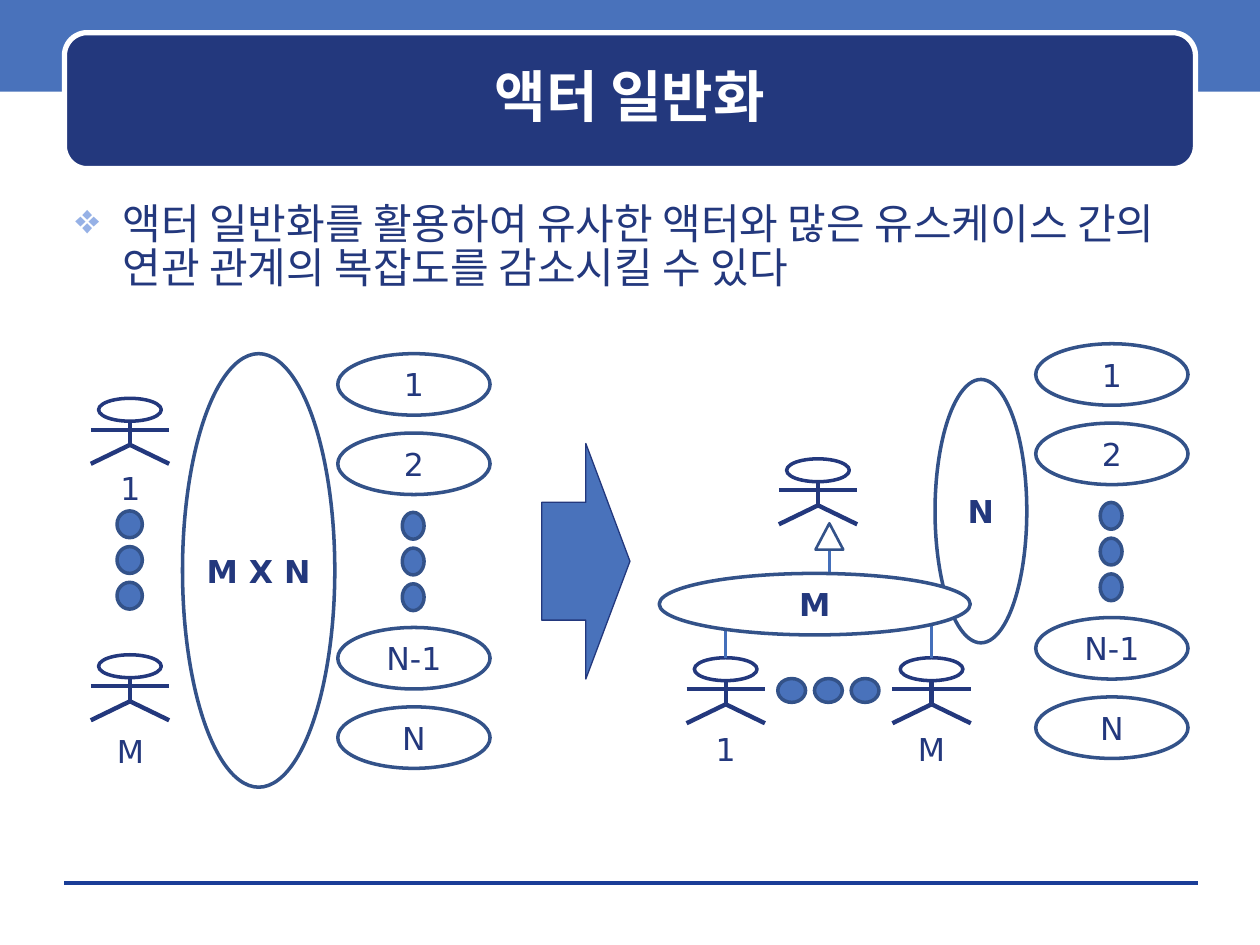
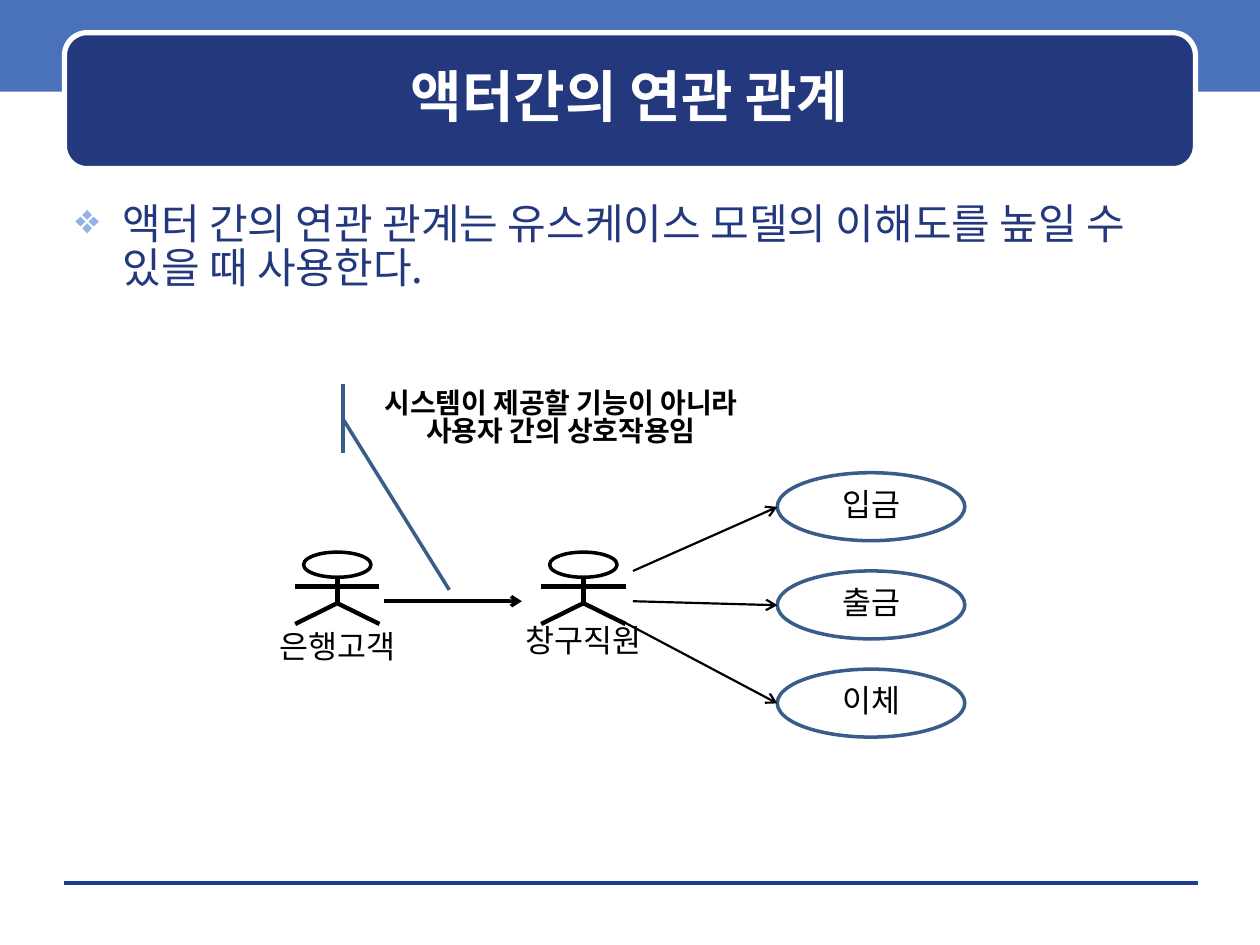
from lxml import etree
from pptx import Presentation
from pptx.dml.color import RGBColor
from pptx.enum.shapes import MSO_CONNECTOR, MSO_SHAPE
from pptx.enum.text import MSO_ANCHOR, PP_ALIGN
from pptx.oxml.ns import qn
from pptx.util import Cm, Pt

NAVY = RGBColor(0x23, 0x38, 0x7D)
BLUE = RGBColor(0x49, 0x72, 0xBB)
OUTLINE = RGBColor(0x33, 0x52, 0x89)
LINK = RGBColor(0x44, 0x6F, 0xBA)
CASE_LINE = RGBColor(0x38, 0x5D, 0x8A)
RULE = RGBColor(0x1A, 0x3D, 0x97)
BULLET = RGBColor(0x96, 0xB1, 0xE6)
WHITE = RGBColor(0xFF, 0xFF, 0xFF)
BLACK = RGBColor(0, 0, 0)

LATIN = "DejaVu Sans"
KOREAN = "Noto Sans CJK KR"
KOREAN_SPACING = 0.86

RECT = MSO_SHAPE.RECTANGLE
ROUND = MSO_SHAPE.ROUNDED_RECTANGLE
OVAL = MSO_SHAPE.OVAL
TRIANGLE = MSO_SHAPE.ISOSCELES_TRIANGLE
ARROW = MSO_SHAPE.RIGHT_ARROW
CALLOUT = MSO_SHAPE.LINE_CALLOUT_1_ACCENT_BAR
STRAIGHT = MSO_CONNECTOR.STRAIGHT
ELBOW = MSO_CONNECTOR.ELBOW
CENTER = PP_ALIGN.CENTER
LEFT = PP_ALIGN.LEFT
MIDDLE = MSO_ANCHOR.MIDDLE
TOP = MSO_ANCHOR.TOP


def add_text(sp, lines, size, color, font=LATIN, bold=False, align=CENTER,
             anchor=MIDDLE, side=0.0):
    tf = sp.text_frame
    tf.word_wrap = True
    tf.vertical_anchor = anchor
    tf.margin_left = tf.margin_right = Cm(side)
    tf.margin_top = tf.margin_bottom = Cm(0.13)
    for i, line in enumerate(lines):
        p = tf.add_paragraph() if i else tf.paragraphs[0]
        p.alignment = align
        if font == KOREAN:
            p.line_spacing = KOREAN_SPACING
        r = p.add_run()
        r.text = line
        r.font.size = Pt(size)
        r.font.bold = bold
        r.font.name = font
        r.font.color.rgb = color
        ea = etree.SubElement(r._r.get_or_add_rPr(), qn("a:ea"))
        ea.set("typeface", font)


def add_shape(s, kind, x, y, w, h, fill=None, line=None, width=2.0):
    sp = s.shapes.add_shape(kind, Cm(x), Cm(y), Cm(w), Cm(h))
    sp.shadow.inherit = False
    if fill is None:
        sp.fill.background()
    else:
        sp.fill.solid()
        sp.fill.fore_color.rgb = fill
    if line is None:
        sp.line.fill.background()
    else:
        sp.line.color.rgb = line
        sp.line.width = Pt(width)
    return sp


def add_line(s, x1, y1, x2, y2, color, width, kind=STRAIGHT, arrow=False):
    cn = s.shapes.add_connector(kind, Cm(x1), Cm(y1), Cm(x2), Cm(y2))
    cn.line.color.rgb = color
    cn.line.width = Pt(width)
    if arrow:
        tail = etree.SubElement(cn.line._get_or_add_ln(), qn("a:tailEnd"))
        tail.set("type", "arrow")
    etree.SubElement(cn._element.spPr, qn("a:effectLst"))
    return cn


def add_drop_link(s, x1, y1, x2, y2):
    cx, cy = (x1 + x2) / 2, (y1 + y2) / 2
    side = 1 if x2 > x1 else -1
    half_w, half_h = side * (y2 - y1) / 2, abs(x2 - x1) / 2
    cn = add_line(s, cx + half_w, cy - half_h, cx - half_w, cy + half_h,
                  LINK, 1.5, ELBOW)
    angle = 270 if side > 0 else 90
    cn._element.spPr.find(qn("a:xfrm")).set("rot", str(angle * 60000))


def add_label(s, text, x, y, w, color, font=LATIN):
    tb = s.shapes.add_textbox(Cm(x), Cm(y), Cm(w), Cm(1.02))
    add_text(tb, [text], 18, color, font, anchor=TOP, side=0.25)


def add_actor(s, x, y, w, h, color):
    mid, hip = x + w / 2, y + 0.71 * h
    add_shape(s, OVAL, x + 0.1 * w, y, 0.8 * w, 0.35 * h, line=color)
    for x1, y1, x2, y2 in [
        (mid, y + 0.35 * h, mid, hip),
        (x, y + 0.48 * h, x + w, y + 0.48 * h),
        (mid, hip, x, y + h),
        (mid, hip, x + w, y + h),
    ]:
        add_line(s, x1, y1, x2, y2, color, 2.5)


def add_dots(s, x, y, w, h, dx=0.0, dy=0.0):
    for i in range(3):
        add_shape(s, OVAL, x + i * dx, y + i * dy, w, h, BLUE, OUTLINE)


def add_bubble(s, text, x, y, w, h, fill=None, bold=False):
    sp = add_shape(s, OVAL, x, y, w, h, fill, OUTLINE)
    add_text(sp, [text], 18, NAVY, bold=bold)


def add_case_column(s, x, y):
    for text, dy in [("1", 0), ("2", 1.6), ("N-1", 5.52), ("N", 7.12)]:
        add_bubble(s, text, x, y + dy, 3.07, 1.24)
    add_dots(s, x + 1.3, y + 3.2, 0.44, 0.54, dy=0.72)


def add_frame(prs, title, message):
    s = prs.slides.add_slide(prs.slide_layouts[6])
    add_shape(s, RECT, 0, 0, 25.4, 1.85, BLUE)
    add_line(s, 1.3, 17.8, 24.16, 17.8, RULE, 0)
    banner = add_shape(s, ROUND, 1.3, 0.66, 22.8, 2.74, NAVY, WHITE, 3)
    add_text(banner, [title], 32, WHITE, KOREAN, bold=True)

    body = s.shapes.add_textbox(Cm(1.27), Cm(4.01), Cm(22.86), Cm(13.54))
    add_text(body, [message], 24, NAVY, KOREAN, align=LEFT, anchor=TOP, side=0.25)
    pPr = body.text_frame.paragraphs[0]._p.get_or_add_pPr()
    pPr.set("marL", str(Cm(0.95)))
    pPr.set("indent", str(-Cm(0.95)))
    color = etree.SubElement(pPr, qn("a:buClr"))
    etree.SubElement(color, qn("a:srgbClr")).set("val", str(BULLET))
    etree.SubElement(pPr, qn("a:buChar")).set("char", "❖")
    return s


def add_direct_links(s, x, y):
    for text, dy, label_dy in [("1", 0.9, 2.2), ("M", 6.07, 7.5)]:
        add_actor(s, x + 0.43, y + dy, 1.58, 1.32, NAVY)
        add_label(s, text, x, y + label_dy, 2.46, NAVY)
    add_dots(s, x + 0.96, y + 3.17, 0.51, 0.54, dy=0.72)
    add_bubble(s, "M X N", x + 2.28, y, 3.07, 8.74, WHITE, True)
    add_case_column(s, x + 5.41, y)


def add_general_links(s, x, y):
    parent_x, parent_y = x + 3.33, y + 3.62
    for text, dx in [("1", 0.45), ("M", 4.6)]:
        add_actor(s, x + dx, y + 6.33, 1.58, 1.32, NAVY)
        add_label(s, text, x + dx - 0.45, y + 7.66, 2.48, NAVY)
        add_drop_link(s, parent_x, parent_y + 0.52, x + dx + 0.79, y + 6.33)
    add_dots(s, x + 2.29, y + 6.75, 0.56, 0.48, dx=0.74)
    add_shape(s, TRIANGLE, parent_x - 0.28, parent_y, 0.56, 0.53, WHITE, OUTLINE, 1.5)
    add_actor(s, x + 2.31, y + 2.32, 1.58, 1.32, NAVY)
    add_bubble(s, "N", x + 5.46, y + 0.72, 1.85, 5.31, WHITE, True)
    add_bubble(s, "M", x - 0.1, y + 4.63, 6.27, 1.24, WHITE, True)
    add_case_column(s, x + 7.49, y)


def add_teller_diagram(s, x, y):
    for text, dx, label_dy in [("은행고객", 0, 4.88), ("창구직원", 4.96, 4.75)]:
        add_actor(s, x + dx, y + 3.38, 1.7, 1.45, BLACK)
        add_label(s, text, x + dx - 0.74, y + label_dy, 3.18, BLACK, KOREAN)
    add_line(s, x + 1.8, y + 4.37, x + 4.57, y + 4.37, BLACK, 2, arrow=True)

    cases = [("입금", 6.81, 3.76), ("출금", 6.81, 4.37), ("이체", 6.55, 4.75)]
    for i, (text, from_dx, from_dy) in enumerate(cases):
        top = y + 1.78 + i * 1.98
        case = add_shape(s, OVAL, x + 9.72, top, 3.78, 1.37, line=CASE_LINE)
        add_text(case, [text], 18, BLACK, KOREAN)
        add_line(s, x + from_dx, y + from_dy, x + 9.72, top + 0.69,
                 BLACK, 1.25, arrow=True)

    note = add_shape(s, CALLOUT, x, y, 10.72, 1.39, line=CASE_LINE)
    for i, value in enumerate([0.5, 0.09, 2.98, 0.29]):
        note.adjustments[i] = value
    add_text(note, ["시스템이 제공할 기능이 아니라", "사용자 간의 상호작용임"],
             16, BLACK, KOREAN, bold=True, side=0.25)


def main():
    prs = Presentation()
    prs.slide_width, prs.slide_height = Cm(25.4), Cm(19.05)

    s = add_frame(prs, "액터 일반화",
                  "액터 일반화를 활용하여 유사한 액터와 많은 유스케이스 간의 "
                  "연관 관계의 복잡도를 감소시킬 수 있다")
    add_direct_links(s, 1.4, 7.13)
    add_general_links(s, 13.39, 6.93)
    add_shape(s, ARROW, 10.92, 8.94, 1.78, 4.75, BLUE, NAVY, 0.75)

    s = add_frame(prs, "액터간의 연관 관계",
                  "액터 간의 연관 관계는 유스케이스 모델의 이해도를 높일 수 "
                  "있을 때 사용한다.")
    add_teller_diagram(s, 5.95, 7.75)

    prs.save("out.pptx")


if __name__ == "__main__":
    main()
